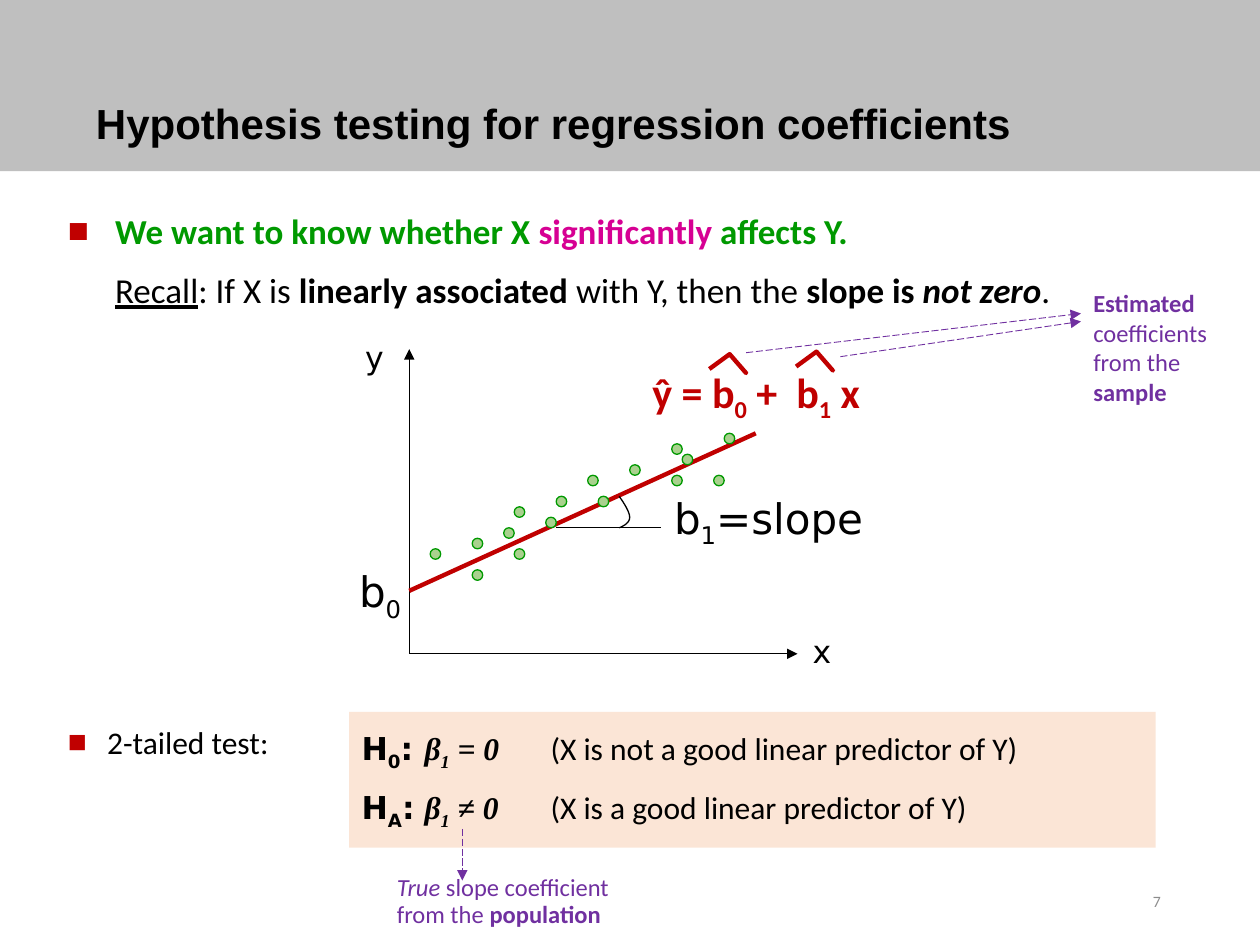
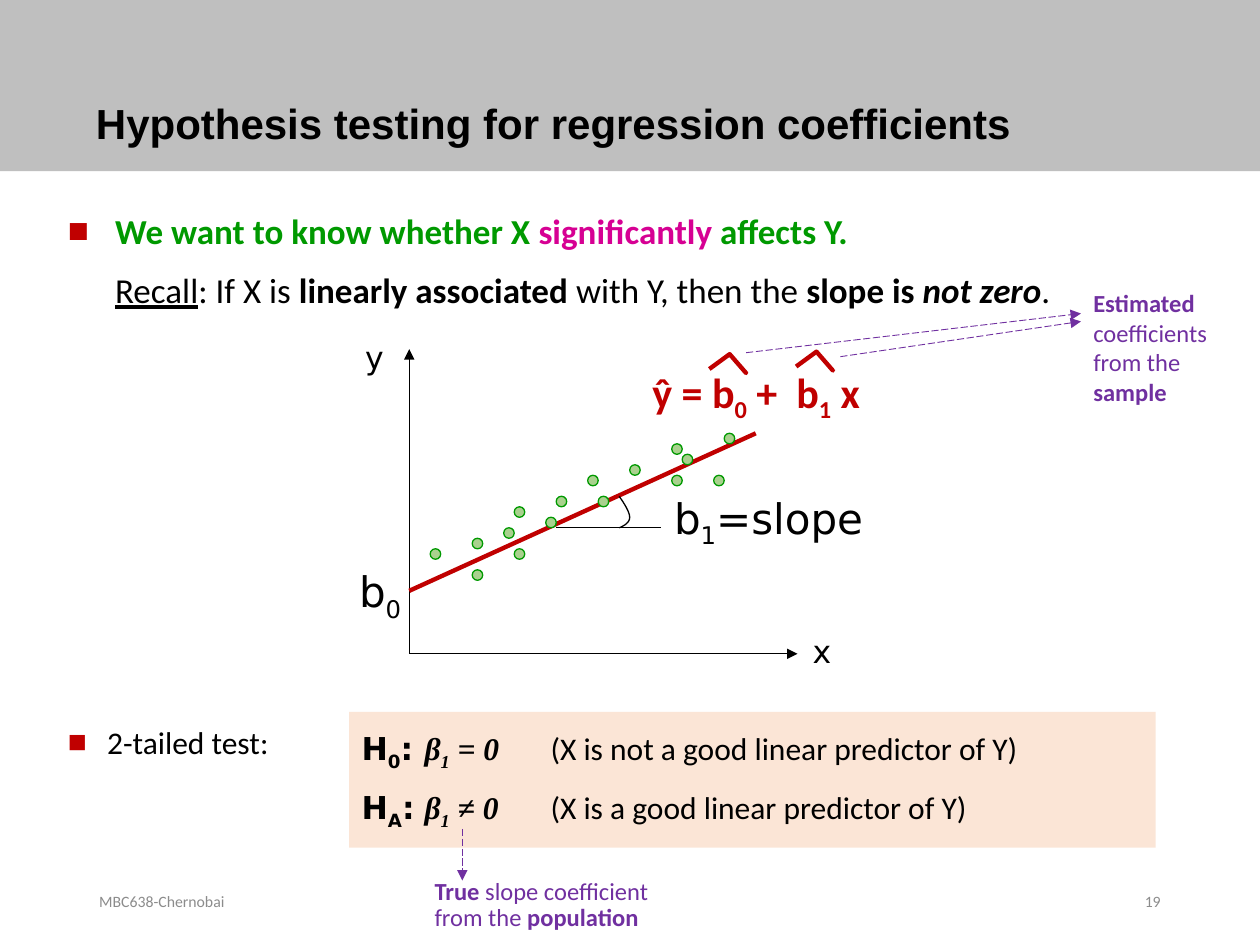
"""Build two slides on hypothesis testing for regression coefficients."""
from dataclasses import dataclass, field
from typing import Any, Optional

import lxml.etree
import pptx
import pptx.dml.color
import pptx.enum.dml
import pptx.enum.shapes
import pptx.enum.text
import pptx.oxml.ns
import pptx.util

Cm = pptx.util.Cm
Pt = pptx.util.Pt
qn = pptx.oxml.ns.qn
Align = pptx.enum.text.PP_ALIGN
Anchor = pptx.enum.text.MSO_ANCHOR
Fit = pptx.enum.text.MSO_AUTO_SIZE
Preset = pptx.enum.shapes.MSO_SHAPE
Point = tuple[float, float]

BOLD = {"bold": True}
ITALIC = {"italic": True}
BOLD_ITALIC = BOLD | ITALIC


@dataclass(frozen=True)
class Theme:
    """Colours, fonts and type sizes of the deck."""
    band: str = "BFBFBF"
    panel: str = "FBE5D6"
    ink: str = "000000"
    red: str = "C00000"
    green: str = "009900"
    dot: str = "A9D18E"
    pink: str = "D60093"
    purple: str = "7030A0"
    grey: str = "8C8C8C"
    heading: str = "Arial"
    body: str = "Calibri"
    label: str = "DejaVu Sans"
    formula: str = "Times New Roman"
    large: float = 24
    lead: float = 20
    normal: float = 18
    note: float = 14
    small: float = 9


THEME = Theme()


@dataclass(frozen=True)
class Span:
    """A piece of text with its own format."""
    text: str
    form: dict[str, Any] = field(default_factory=dict)
    color: Optional[str] = None
    lowered: bool = False


@dataclass(frozen=True)
class Para:
    """A paragraph with its shared type and spacing."""
    spans: list[Span]
    size: float = THEME.normal
    font: str = THEME.body
    color: str = THEME.ink
    form: dict[str, Any] = field(default_factory=dict)
    margin: float = 0
    bullet: bool = False
    tabs: tuple[float, ...] = ()


@dataclass(frozen=True)
class Box:
    """A text box with its place in centimetres."""
    left: float
    top: float
    width: float
    height: float
    paras: list[Para]
    form: dict[str, Any] = field(default_factory=dict)


@dataclass(frozen=True)
class Stroke:
    """A straight line with its format."""
    start: Point
    end: Point
    color: str = THEME.ink
    width: float = 0.75
    arrow: bool = False
    dashed: bool = False


@dataclass(frozen=True)
class PageCase:
    """What differs from one page to the next."""
    number: str
    caption: Point
    true_form: dict[str, Any]
    footer: str = ""


ORIGIN = (8.25, 13.18)
GRID = 2.54 / 12


def plot(column: float, row: float) -> Point:
    """Turn a position on the plot grid into centimetres."""
    return ORIGIN[0] + column * GRID, ORIGIN[1] - row * GRID


TITLE = "Hypothesis testing for regression coefficients"
DOTS = [(2, 10), (6, 8), (6, 11), (10, 10), (10, 14), (9, 12), (14, 15), (13, 13),
        (17, 17), (29, 17), (25, 20), (25, 17), (21, 18), (30, 21), (26, 19), (18, 15)]
ARC = [(20, 15), (20.5, 14.3), (21, 13.5), (21, 13), (21, 12.5), (20.5, 12.2), (20, 12)]
HAT = [(0, 0.3), (0.41, 0), (0.74, 0.38), (0.74, 0.36)]
HAT_CORNERS = [(14.3, 7.14), (16.05, 7.09)]
STROKES = [
    Stroke(ORIGIN, (ORIGIN[0], 7.04), arrow=True),
    Stroke(ORIGIN, (16.08, ORIGIN[1]), arrow=True),
    Stroke(plot(0, 6), plot(33, 21), THEME.red, 2.5),
    Stroke(plot(14, 12), plot(24, 12)),
    Stroke((16.94, 7.19), (21.79, 6.48), THEME.purple, 0.5, True, True),
    Stroke((15.04, 7.11), (21.79, 6.32), THEME.purple, 0.5, True, True),
    Stroke((9.32, 16.71), (9.32, 17.75), THEME.purple, 0.5, True, True),
]


def before(size: float) -> dict[str, Any]:
    """Give half a type size of space above a paragraph."""
    return {"space_before": Pt(size / 2)}


def hypothesis(index: str, relation: str, meaning: str) -> Para:
    """Describe one row of the hypothesis panel."""
    label = {"name": THEME.label} | BOLD
    formula = {"name": THEME.formula} | BOLD_ITALIC
    return Para([Span("H", label), Span(index, label, lowered=True), Span(":\t", label),
                 Span("β", formula), Span("1", formula, lowered=True),
                 Span(f" {relation} 0\t", formula), Span(f"({meaning})")],
                form=before(THEME.normal), tabs=(1.7, 3.63))


HYPOTHESES = Box(7.04, 14.35, 16.26, 2.74, [
    hypothesis("0", "=", "X is not a good linear predictor of Y"),
    hypothesis("A", "≠", "X is a good linear predictor of Y"),
], {"vertical_anchor": Anchor.MIDDLE, "auto_size": Fit.NONE})


def axis_label(text: str, left: float, top: float) -> Box:
    """Describe the name of an axis."""
    para = Para([Span(text)], font=THEME.label, form=before(THEME.normal))
    return Box(left, top, 1.27, 1.02, [para])


def coefficient(index: str, rest: str, left: float, top: float, width: float) -> Box:
    """Describe a coefficient label on the plot."""
    spans = [Span("b"), Span(index, lowered=True)] + ([Span(rest)] if rest else [])
    para = Para(spans, THEME.large, THEME.label)
    return Box(left, top, width, 1.27, [para], {"word_wrap": False})


BOXES = [
    axis_label("x", 16.13, 12.62),
    axis_label("y", 7.11, 6.68),
    coefficient("1", "=slope", 13.34, 9.8, 4.32),
    coefficient("0", "", 6.99, 11.28, 1.4),
    Box(12.9, 7.26, 5.92, 1.27, [Para(
        [Span("ŷ = b", BOLD), Span("0", BOLD, lowered=True), Span(" +  b", BOLD),
         Span("1", BOLD, lowered=True), Span(" x", BOLD)],
        THEME.large, color=THEME.red, form=before(THEME.large))]),
    Box(1.12, 4.09, 23.04, 2.39, [
        Para([Span("We want to know whether X ", BOLD),
              Span("significantly", BOLD, THEME.pink), Span(" affects Y.", BOLD)],
             THEME.lead, color=THEME.green, form=before(THEME.lead),
             margin=0.95, bullet=True),
        Para([Span("Recall", {"underline": True}), Span(": If X is "),
              Span("linearly associated ", BOLD), Span("with Y, then the "),
              Span("slope is ", BOLD), Span("not zero", BOLD_ITALIC), Span(".")],
             THEME.lead, form=before(THEME.lead), margin=0.95)]),
    Box(1.12, 14.45, 5.23, 1.02, [Para(
        [Span("2-tailed test:")], form=before(THEME.normal), margin=0.79, bullet=True)]),
    Box(21.79, 5.69, 3.07, 2.64, [Para(
        [Span("Estimated", BOLD), Span(" coefficients from the "), Span("sample", BOLD)],
        THEME.note, color=THEME.purple)]),
]
CASES = [
    PageCase("7", (7.75, 17.53), ITALIC),
    PageCase("19", (8.51, 17.6), BOLD, "MBC638-Chernobai"),
]


def rgb(color: str) -> pptx.dml.color.RGBColor:
    """Turn a hex text into a colour."""
    return pptx.dml.color.RGBColor.from_string(color)


def apply(target: Any, form: dict[str, Any]) -> None:
    """Set each attribute that a format names."""
    for name, value in form.items():
        setattr(target, name, value)


def add_child(parent: Any, tag: str, **values: str) -> Any:
    """Append a drawing element with its attributes."""
    return lxml.etree.SubElement(parent, qn(tag), values)


def write_para(para: Any, plan: Para) -> None:
    """Fill a paragraph from its description."""
    apply(para, {"alignment": Align.LEFT} | plan.form)
    layout = para._p.get_or_add_pPr()
    layout.set("marL", str(Cm(plan.margin)))
    layout.set("indent", str(Cm(-plan.margin if plan.bullet else 0)))
    if plan.bullet:
        add_child(add_child(layout, "a:buClr"), "a:srgbClr", val=THEME.red)
        add_child(layout, "a:buFont", typeface=THEME.heading)
        add_child(layout, "a:buChar", char="■")
    else:
        add_child(layout, "a:buNone")
    if plan.tabs:
        stops = add_child(layout, "a:tabLst")
        for stop in plan.tabs:
            add_child(stops, "a:tab", pos=str(Cm(stop)), algn="l")
    for piece in plan.spans:
        span = para.add_run()
        span.text = piece.text
        base = {"name": plan.font, "size": Pt(plan.size), "bold": False, "italic": False}
        apply(span.font, base | piece.form)
        span.font.color.rgb = rgb(piece.color or plan.color)
        if piece.lowered:
            span._r.get_or_add_rPr().set("baseline", "-25000")


def fill_text(shape: Any, plan: Box) -> None:
    """Place a shape and write its paragraphs."""
    apply(shape, {name: Cm(getattr(plan, name)) for name in ("left", "top", "width", "height")})
    frame = shape.text_frame
    apply(frame, {"word_wrap": True, "auto_size": Fit.SHAPE_TO_FIT_TEXT} | plan.form)
    for index, para in enumerate(plan.paras):
        write_para(frame.add_paragraph() if index else frame.paragraphs[0], para)


def add_box(page: Any, plan: Box) -> None:
    """Add a text box."""
    fill_text(page.shapes.add_textbox(0, 0, 0, 0), plan)


def add_preset(page: Any, preset: Any, place: tuple[float, ...], fill: str, line: str = "") -> Any:
    """Add a flat preset shape."""
    shape = page.shapes.add_shape(preset, *map(Cm, place))
    shape.shadow.inherit = False
    shape.fill.solid()
    shape.fill.fore_color.rgb = rgb(fill)
    if line:
        shape.line.color.rgb = rgb(line)
        shape.line.width = Pt(0.75)
    else:
        shape.line.fill.background()
    return shape


def add_stroke(page: Any, plan: Stroke) -> None:
    """Add a straight line or arrow."""
    kind = pptx.enum.shapes.MSO_CONNECTOR.STRAIGHT
    stroke = page.shapes.add_connector(kind, *map(Cm, plan.start + plan.end))
    stroke.line.color.rgb = rgb(plan.color)
    stroke.line.width = Pt(plan.width)
    if plan.dashed:
        stroke.line.dash_style = pptx.enum.dml.MSO_LINE.LONG_DASH
    if plan.arrow:
        add_child(stroke.line._get_or_add_ln(), "a:tailEnd", type="triangle")
    add_child(stroke.element.spPr, "a:effectLst")


def add_outline(page: Any, points: list[Point], color: str, width: float) -> None:
    """Add an open outline through the points."""
    corners = [(Cm(x), Cm(y)) for x, y in points]
    builder = page.shapes.build_freeform(*corners[0], scale=1.0)
    builder.add_line_segments(corners[1:], close=False)
    outline = builder.convert_to_shape()
    outline.shadow.inherit = False
    outline.fill.background()
    outline.line.color.rgb = rgb(color)
    outline.line.width = Pt(width)


def curve(controls: list[Point], steps: int = 8) -> list[Point]:
    """Sample a chain of cubic curves."""
    points = [controls[0]]
    for first in range(0, len(controls) - 1, 3):
        for step in range(1, steps + 1):
            t = step / steps
            weights = ((1 - t) ** 3, 3 * t * (1 - t) ** 2, 3 * t * t * (1 - t), t ** 3)
            part = controls[first:first + 4]
            points.append((sum(w * p[0] for w, p in zip(weights, part)),
                           sum(w * p[1] for w, p in zip(weights, part))))
    return points


def add_footer(page: Any, text: str, left: float, alignment: Any) -> None:
    """Add a small grey text at the foot of the page."""
    para = Para([Span(text)], THEME.small, color=THEME.grey, form={"alignment": alignment})
    add_box(page, Box(left, 17.65, 5.72, 1.02, [para],
                      {"vertical_anchor": Anchor.MIDDLE, "auto_size": Fit.NONE}))


def build_page(deck: Any, case: PageCase) -> None:
    """Build one page of the deck."""
    page = deck.slides.add_slide(deck.slide_layouts[5])
    title = page.shapes.title
    fill_text(title, Box(1.68, 0.69, 21.89, 3.68, [Para(
        [Span(TITLE, BOLD)], THEME.large, THEME.heading, form={"line_spacing": 0.9})],
        {"vertical_anchor": Anchor.MIDDLE, "auto_size": Fit.NONE}))
    band = add_preset(page, Preset.RECTANGLE, (0, 0, 25.4, 3.45), THEME.band)
    title.element.addprevious(band.element)
    fill_text(add_preset(page, Preset.RECTANGLE, (0, 0, 1, 1), THEME.panel), HYPOTHESES)
    for stroke in STROKES:
        add_stroke(page, stroke)
    add_outline(page, curve([plot(*spot) for spot in ARC]), THEME.ink, 0.75)
    for box in BOXES:
        add_box(page, box)
    for dot in DOTS:
        add_preset(page, Preset.OVAL, (*plot(*dot), GRID, GRID), THEME.dot, THEME.green)
    for left, top in HAT_CORNERS:
        add_outline(page, [(left + x, top + y) for x, y in HAT], THEME.red, 2.5)
    add_box(page, Box(*case.caption, 5.28, 1.35, [Para(
        [Span("True", case.true_form), Span(" slope coefficient from the "),
         Span("population", BOLD)],
        THEME.note, color=THEME.purple, form={"line_spacing": 0.9})]))
    if case.footer:
        add_footer(page, case.footer, 1.75, Align.LEFT)
    add_footer(page, case.number, 17.93, Align.RIGHT)


def main() -> None:
    """Build and save the deck."""
    deck = pptx.Presentation()
    deck.slide_width, deck.slide_height = Cm(25.4), Cm(19.05)
    for case in CASES:
        build_page(deck, case)
    deck.save("out.pptx")


if __name__ == "__main__":
    main()
